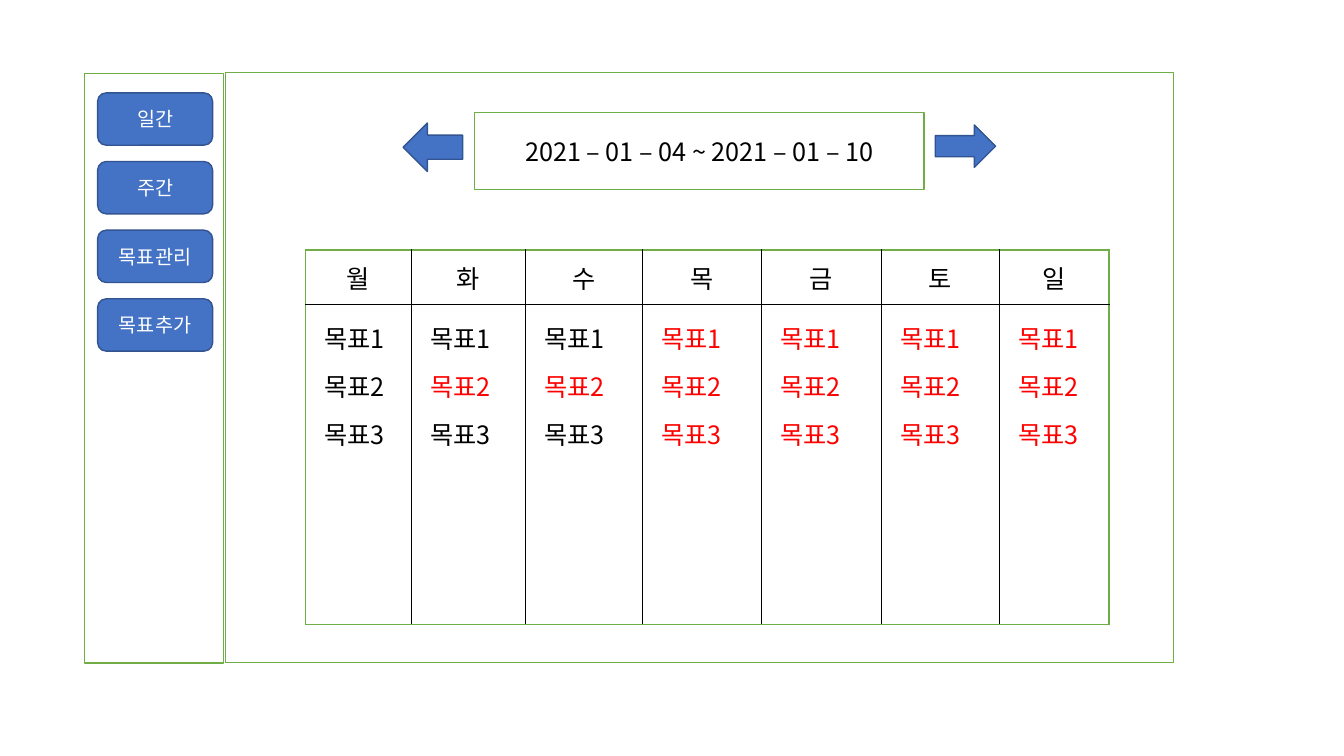
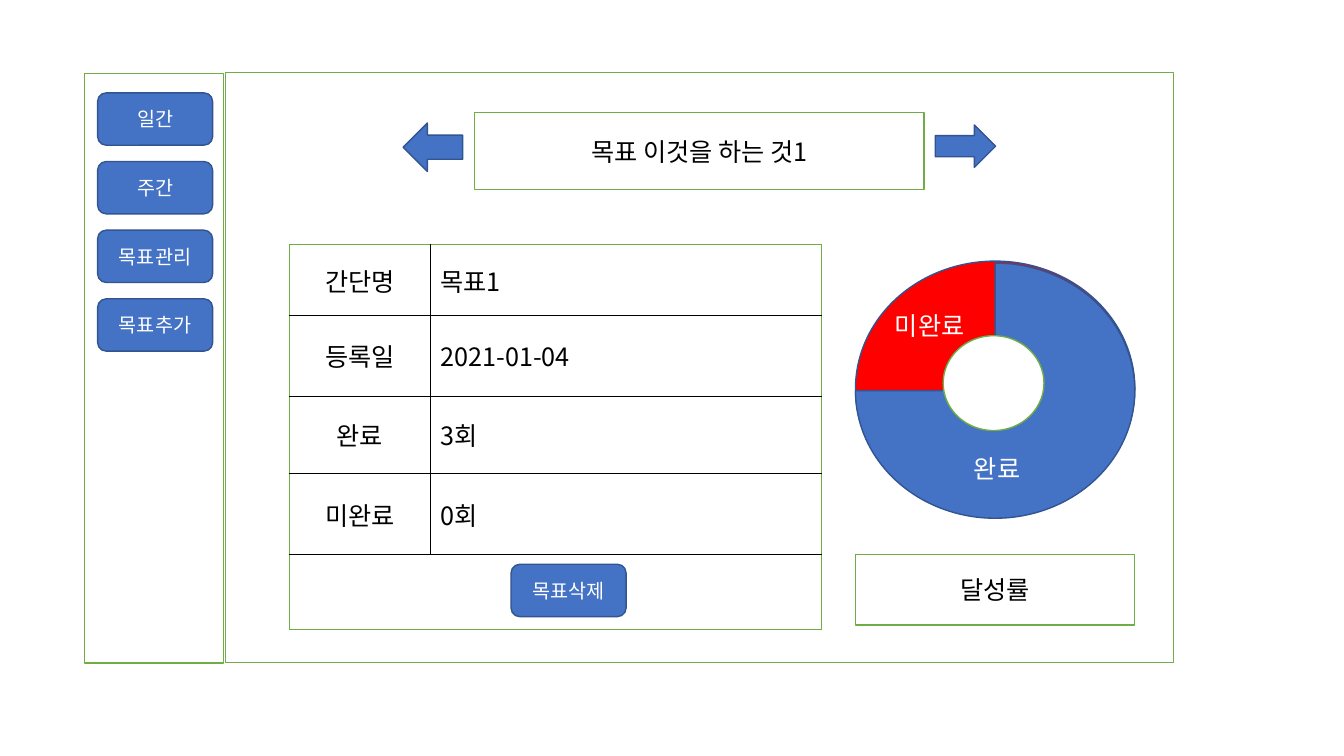
from dataclasses import dataclass
from typing import Optional

from lxml.etree import SubElement
from pptx import Presentation
from pptx.dml.color import RGBColor
from pptx.enum.shapes import MSO_SHAPE as Preset
from pptx.enum.text import MSO_ANCHOR as Anchor, MSO_AUTO_SIZE as AutoSize, PP_ALIGN as Align
from pptx.oxml.ns import qn
from pptx.util import Cm, Pt


# Theme
@dataclass(frozen=True)
class Theme:
    font: str = "Noto Sans CJK KR"
    body_size: float = 18
    button_size: float = 14
    white: str = "FFFFFF"
    black: str = "000000"
    red: str = "FF0000"
    blue: str = "4472C4"
    navy: str = "325491"
    green: str = "70AD47"
    outline: float = 1
    grid_line: float = 0.5


THEME = Theme()


# Elements, with lengths in centimetres
@dataclass(frozen=True)
class Box:
    left: float
    top: float
    width: float
    height: float

    def lengths(self) -> tuple:
        return Cm(self.left), Cm(self.top), Cm(self.width), Cm(self.height)


@dataclass(frozen=True)
class Block:
    box: Box
    preset: Preset = Preset.RECTANGLE
    fill: str = THEME.white
    line: str = THEME.green
    text: str = ""
    size: float = THEME.body_size
    color: str = THEME.black


@dataclass(frozen=True)
class Grid:
    left: float
    top: float
    widths: tuple
    heights: tuple


def button(left: float, top: float, text: str) -> Block:
    return Block(Box(left, top, 2.9, 1.32), Preset.ROUNDED_RECTANGLE, THEME.blue,
                 THEME.navy, text, THEME.button_size, THEME.white)


def blue_shape(box: Box, preset: Preset) -> Block:
    return Block(box, preset, THEME.blue, THEME.navy)


# Parts both slides share
PANEL = Block(Box(5.68, 1.83, 23.9, 14.86))
SIDEBAR = Block(Box(2.13, 1.85, 3.51, 14.86))
TITLE_BOX = Box(11.96, 2.84, 11.33, 1.93)
MENU = ("일간", "주간", "목표관리", "목표추가")
MENU_TOP, MENU_PITCH = 2.34, 1.73
ARROWS = (
    blue_shape(Box(10.16, 3.1, 1.5, 1.22), Preset.LEFT_ARROW),
    blue_shape(Box(23.57, 3.15, 1.52, 1.07), Preset.RIGHT_ARROW),
)


# Drawing functions
def format_paragraph(paragraph, color: str, align: Align = Align.CENTER,
                     size: float = THEME.body_size) -> None:
    paragraph.alignment = align
    font = paragraph.font
    font.name, font.size = THEME.font, Pt(size)
    font.color.rgb = RGBColor.from_string(color)


def paint(shape, fill: str, line: str) -> None:
    shape.fill.solid()
    shape.fill.fore_color.rgb = RGBColor.from_string(fill)
    shape.line.color.rgb = RGBColor.from_string(line)
    shape.line.width = Pt(THEME.outline)


def draw_block(slide, block: Block):
    shape = slide.shapes.add_shape(block.preset, *block.box.lengths())
    shape.shadow.inherit = False
    paint(shape, block.fill, block.line)
    if block.text:
        frame = shape.text_frame
        frame.text, frame.vertical_anchor = block.text, Anchor.MIDDLE
        format_paragraph(frame.paragraphs[0], block.color, size=block.size)
    return shape


def draw_caption(slide, box: Box, text: str) -> None:
    frame = slide.shapes.add_textbox(*box.lengths()).text_frame
    frame.word_wrap = True
    frame.text = text
    format_paragraph(frame.paragraphs[0], THEME.white)


def set_borders(cell, outer_sides: set) -> None:
    properties = cell._tc.get_or_add_tcPr()
    for side in "LRTB":
        outer = side in outer_sides
        width = THEME.outline if outer else THEME.grid_line
        line = SubElement(properties, qn(f"a:ln{side}"), w=str(Pt(width)))
        fill = SubElement(line, qn("a:solidFill"))
        SubElement(fill, qn("a:srgbClr"), val=THEME.green if outer else THEME.black)


def draw_table(slide, grid: Grid, merge_last_row: bool = False):
    row_count, column_count = len(grid.heights), len(grid.widths)
    box = Box(grid.left, grid.top, sum(grid.widths), sum(grid.heights))
    table = slide.shapes.add_table(row_count, column_count, *box.lengths()).table
    table.first_row = table.horz_banding = False
    for column, width in zip(table.columns, grid.widths):
        column.width = Cm(width)
    for row, height in zip(table.rows, grid.heights):
        row.height = Cm(height)
    if merge_last_row:
        table.cell(row_count - 1, 0).merge(table.cell(row_count - 1, column_count - 1))
    for row in range(row_count):
        for column in range(column_count):
            cell = table.cell(row, column)
            if cell.is_spanned:
                continue
            edges = {"L": column == 0, "T": row == 0, "B": row == row_count - 1,
                     "R": column == column_count - 1 or cell.is_merge_origin}
            set_borders(cell, {side for side, outer in edges.items() if outer})
            cell.fill.solid()
            cell.fill.fore_color.rgb = RGBColor.from_string(THEME.white)
            cell.vertical_anchor = Anchor.MIDDLE
    return table


def write_cell(cell, text: str, align: Align = Align.CENTER) -> None:
    cell.text = text
    format_paragraph(cell.text_frame.paragraphs[0], THEME.black, align)


def add_page(presentation, title_text: str):
    slide = presentation.slides.add_slide(presentation.slide_layouts[5])
    # Title box, in front of the panel
    title = slide.shapes.title
    title.left, title.top, title.width, title.height = TITLE_BOX.lengths()
    paint(title, THEME.white, THEME.green)
    frame = title.text_frame
    frame.text, frame.vertical_anchor = title_text, Anchor.MIDDLE
    frame.auto_size = AutoSize.NONE
    format_paragraph(frame.paragraphs[0], THEME.black)
    title.element.addprevious(draw_block(slide, PANEL).element)
    # Sidebar menu and arrows
    draw_block(slide, SIDEBAR)
    for index, label in enumerate(MENU):
        draw_block(slide, button(2.46, MENU_TOP + index * MENU_PITCH, label))
    for arrow in ARROWS:
        draw_block(slide, arrow)
    return slide


def set_east_asian_font(slide) -> None:
    for latin in list(slide.element.iter(qn("a:latin"))):
        east_asian = SubElement(latin.getparent(), qn("a:ea"), typeface=THEME.font)
        latin.addnext(east_asian)


# Weekly slide
@dataclass(frozen=True)
class Day:
    name: str
    red_goals: tuple = ()


GOALS = (1, 2, 3)
WEEK = (Day("월"), Day("화", (2,)), Day("수", (2,)), Day("목", GOALS),
        Day("금", GOALS), Day("토", GOALS), Day("일", GOALS))
WEEK_GRID = Grid(7.7, 6.3, (2.67, 2.87, 2.95, 3, 3.02, 2.97, 2.77), (1.37, 8.07))


def build_week(presentation) -> None:
    slide = add_page(presentation, "2021 – 01 – 04 ~ 2021 – 01 – 10")
    table = draw_table(slide, WEEK_GRID)
    for column, day in enumerate(WEEK):
        write_cell(table.cell(0, column), day.name)
        cell = table.cell(1, column)
        cell.vertical_anchor = Anchor.TOP
        cell.margin_left, cell.margin_top = Cm(0.48), Cm(0.38)
        cell.text = "\n".join(f"목표{goal}" for goal in GOALS)
        for goal, paragraph in zip(GOALS, cell.text_frame.paragraphs):
            color = THEME.red if goal in day.red_goals else THEME.black
            format_paragraph(paragraph, color, Align.LEFT)
            paragraph.space_after = Pt(8)
    set_east_asian_font(slide)


# Goal slide
@dataclass(frozen=True)
class Fact:
    name: str
    value: str


FACTS = (Fact("간단명", "목표1"), Fact("등록일", "2021-01-04"),
         Fact("완료", "3회"), Fact("미완료", "0회"))
FACT_GRID = Grid(7.29, 6.17, (3.56, 9.86), (1.78, 2.03, 1.96, 2.03, 1.9))
RING = Box(21.56, 6.58, 7.04, 6.43)
DONE_ANGLES = (270, 180)
ANGLE_UNIT = 0.6  # adjustment value of one degree


def draw_ring(slide, done_angles: Optional[tuple] = DONE_ANGLES) -> None:
    draw_block(slide, Block(RING, Preset.OVAL, THEME.red, THEME.navy))
    done_box = Box(RING.left, RING.top + 0.05, RING.width, RING.height)
    done = draw_block(slide, blue_shape(done_box, Preset.PIE))
    for index, angle in enumerate(done_angles):
        done.adjustments[index] = angle * ANGLE_UNIT
    draw_block(slide, Block(Box(23.77, 8.46, 2.54, 2.39), Preset.OVAL))
    draw_caption(slide, Box(23.77, 11.3, 2.72, 1.02), "완료")
    draw_caption(slide, Box(22.07, 7.7, 2.72, 1.02), "미완료")


def build_goal(presentation) -> None:
    slide = add_page(presentation, "목표 이것을 하는 것1")
    table = draw_table(slide, FACT_GRID, merge_last_row=True)
    for row, fact in enumerate(FACTS):
        write_cell(table.cell(row, 0), fact.name)
        write_cell(table.cell(row, 1), fact.value, Align.LEFT)
    draw_block(slide, button(12.88, 14.22, "목표삭제"))
    draw_ring(slide)
    draw_block(slide, Block(Box(21.56, 13.97, 7.04, 1.78), text="달성률"))
    set_east_asian_font(slide)


def main() -> None:
    presentation = Presentation()
    presentation.slide_width, presentation.slide_height = Cm(33.87), Cm(19.05)
    build_week(presentation)
    build_goal(presentation)
    presentation.save("out.pptx")


main()
